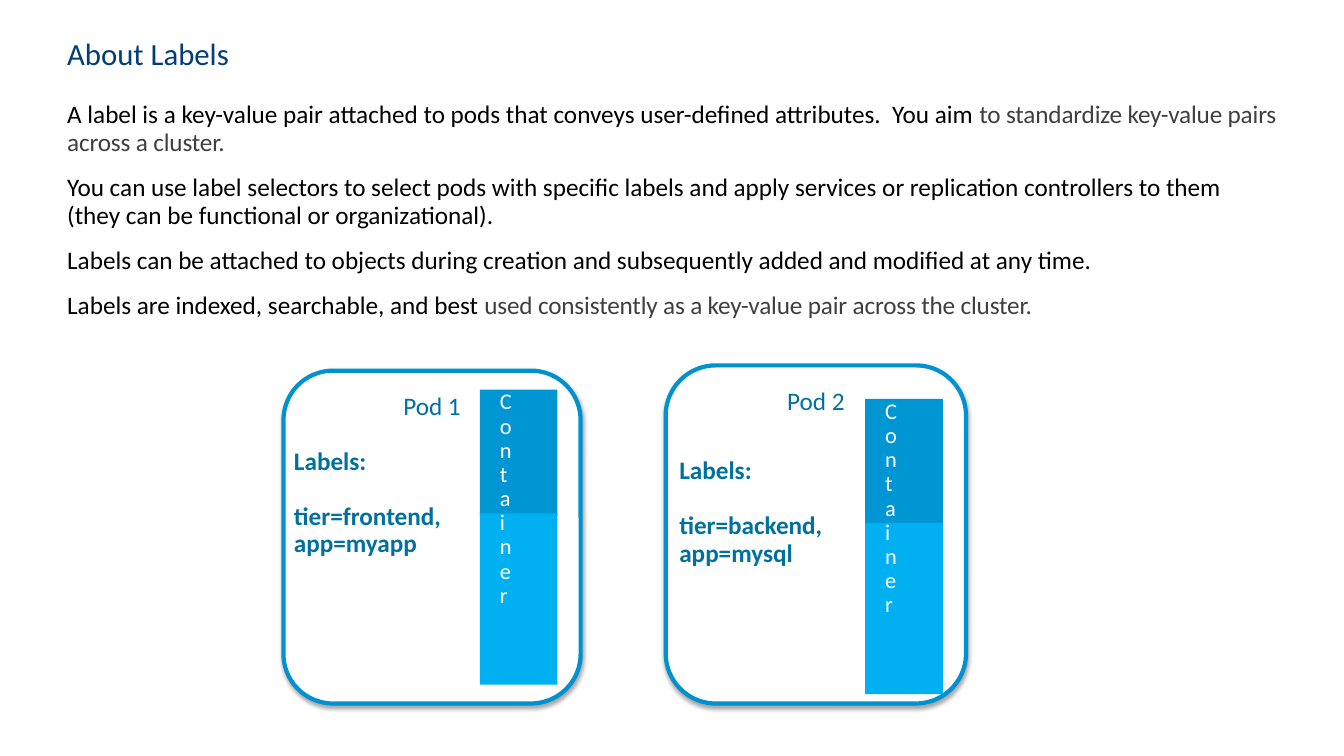
from lxml.etree import SubElement
from pptx import Presentation
from pptx.dml.color import RGBColor
from pptx.enum.shapes import MSO_SHAPE
from pptx.enum.text import MSO_ANCHOR, MSO_AUTO_SIZE, PP_ALIGN
from pptx.oxml.ns import qn
from pptx.util import Pt

SCALE = 9525
BLACK, GRAY, WHITE = "000000", "3F3F3F", "FFFFFF"
NAVY, TEAL, EDGE = "003D79", "00709E", "0092CE"
DARK, LIGHT = "0095D3", "00B0F0"

BODY = [
    [("A label is a key-value pair attached to pods that conveys user-defined attributes.  You aim ", BLACK),
     ("to standardize key-value pairs across a cluster.", GRAY)],
    [("You can use label selectors to select pods with specific labels and apply services or "
      "replication controllers to them (they can be functional or organizational).", BLACK)],
    [("Labels can be attached to objects during creation and subsequently added and modified at any time.", BLACK)],
    [("Labels are indexed, searchable, and best ", BLACK),
     ("used consistently as a key-value pair across the cluster.", GRAY)],
]

PODS = [
    ("Pod 1", "tier=frontend, app=myapp", (270, 353, 283, 317), (457, 371)),
    ("Pod 2", "tier=backend, app=mysql", (634, 348, 286, 322), (824, 380)),
]


def color(code):
    return RGBColor.from_string(code)


def assign(item, values):
    for name, value in values.items():
        setattr(item, name, value)


class Slide:
    font = "Calibri"

    def __init__(self, deck):
        self.slide = deck.slides.add_slide(deck.slide_layouts[1])
        self.shapes = self.slide.shapes

    def place(self, shape, box):
        names = ("left", "top", "width", "height")
        assign(shape, dict(zip(names, (n * SCALE for n in box))))

    def frame(self, shape, anchor=MSO_ANCHOR.TOP, inset=0):
        values = dict.fromkeys(("margin_left", "margin_top", "margin_right", "margin_bottom"), inset)
        values |= {"word_wrap": True, "auto_size": MSO_AUTO_SIZE.NONE, "vertical_anchor": anchor}
        assign(shape.text_frame, values)

    def fill(self, frame, lines, size, bold=False, gap=0, **style):
        for i, line in enumerate(lines):
            para = frame.paragraphs[0] if i == 0 else frame.add_paragraph()
            assign(para, {"space_before": Pt(gap if i else 0), "space_after": Pt(0), **style})
            for text, code in line:
                run = para.add_run()
                run.text = text
                assign(run.font, {"name": self.font, "size": Pt(size), "bold": bold})
                run.font.color.rgb = color(code)
                if code == GRAY:
                    run._r.get_or_add_rPr().set("spc", "-10")

    def title(self, text, box):
        shape = self.shapes.title
        self.place(shape, box)
        self.frame(shape, MSO_ANCHOR.MIDDLE)
        self.fill(shape.text_frame, [[(text, NAVY)]], 22, line_spacing=Pt(22), alignment=PP_ALIGN.LEFT)

    def body(self, lines, box):
        shape = self.slide.placeholders[1]
        self.place(shape, box)
        self.frame(shape)
        self.fill(shape.text_frame, lines, 18, gap=12, line_spacing=Pt(20))
        for para in shape.text_frame.paragraphs:
            props = para._p.get_or_add_pPr()
            for name in ("marL", "indent"):
                props.set(name, "0")
            SubElement(props, qn("a:buNone"))

    def text(self, lines, box, size, code, bold=False, gap=0, upright=False):
        shape = self.shapes.add_textbox(0, 0, 0, 0)
        self.place(shape, box)
        self.frame(shape)
        if upright:
            shape.text_frame._txBody.bodyPr.set("vert", "wordArtVert")
        self.fill(shape.text_frame, [[(line, code)] for line in lines], size, bold, gap, line_spacing=0.9)

    def block(self, kind, box, fill):
        shape = self.shapes.add_shape(kind, 0, 0, 0, 0)
        self.place(shape, box)
        shape.shadow.inherit = False
        shape.fill.solid()
        shape.fill.fore_color.rgb = color(fill)
        shape.line.fill.background()
        return shape

    def card(self, text, box):
        shape = self.block(MSO_SHAPE.ROUNDED_RECTANGLE, box, WHITE)
        shape.line.color.rgb = color(EDGE)
        shape.line.width = Pt(3)
        glow = SubElement(shape._element.spPr.find(qn("a:effectLst")), qn("a:outerShdw"),
                          blurRad=str(Pt(3.1)), dist=str(Pt(1.8)), dir="5400000", rotWithShape="0")
        tint = SubElement(glow, qn("a:srgbClr"), val=BLACK)
        SubElement(tint, qn("a:alpha"), val="35000")
        self.frame(shape, inset=5 * SCALE)
        self.fill(shape.text_frame, [[(text, TEAL)]], 18, alignment=PP_ALIGN.CENTER)

    def pod(self, name, label, box, start):
        x, y = start
        self.card(name, box)
        self.text(["Labels:", label], (x - 177, y + 56, 179, 144), 18, TEAL, bold=True, gap=20)
        self.block(MSO_SHAPE.RECTANGLE, (x, y, 74, 120), DARK)
        self.block(MSO_SHAPE.RECTANGLE, (x, y + 118, 74, 163), LIGHT)
        self.text(["Container"], (x + 19, y + 1, 41, 272), 16, WHITE, upright=True)


def main():
    deck = Presentation()
    assign(deck, {"slide_width": 1280 * SCALE, "slide_height": 720 * SCALE})
    page = Slide(deck)
    page.title("About Labels", (64, 35, 1152, 37))
    page.body(BODY, (64, 96, 1152, 280))
    for pod in PODS:
        page.pod(*pod)
    deck.save("out.pptx")


if __name__ == "__main__":
    main()
